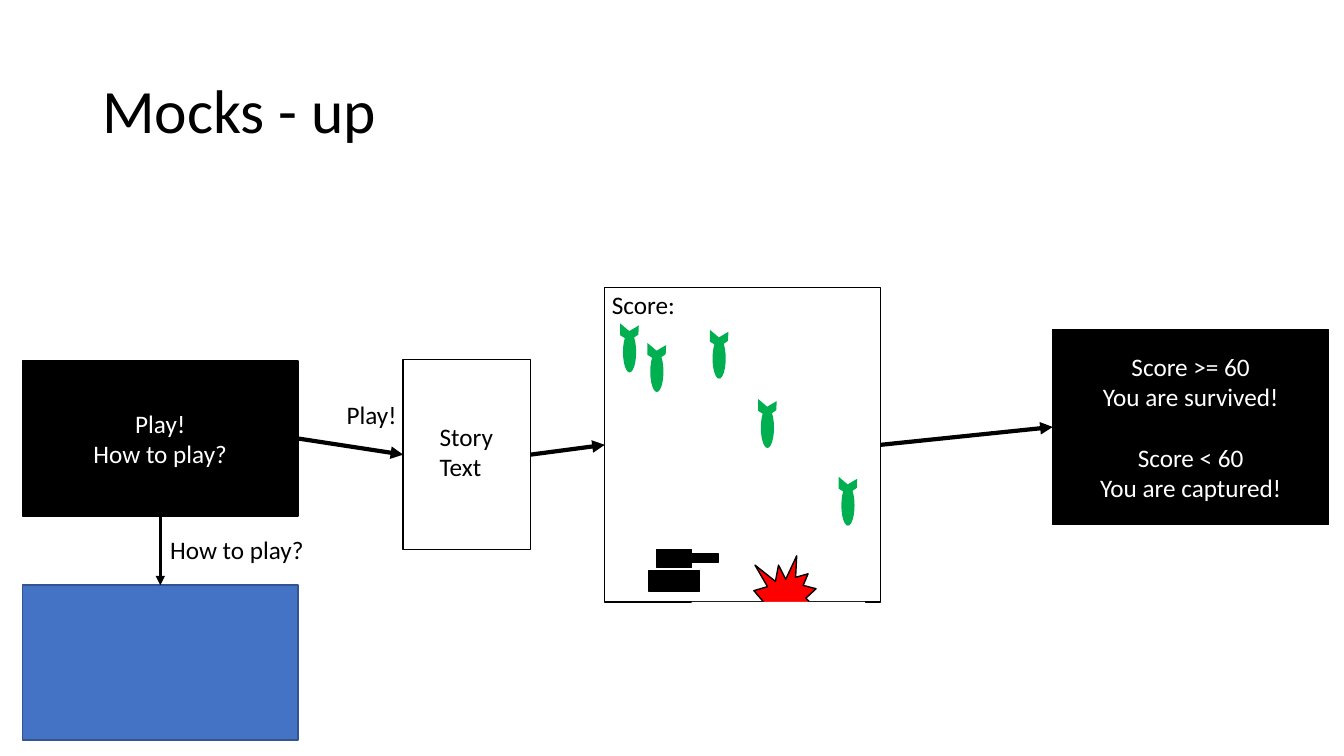
import dataclasses

import pptx
import pptx.dml.color
import pptx.enum.shapes
import pptx.enum.text
import pptx.oxml
import pptx.oxml.ns
import pptx.util

Pt = pptx.util.Pt
SHAPES = pptx.enum.shapes.MSO_SHAPE
ALIGN = pptx.enum.text.PP_ALIGN
ANCHOR = pptx.enum.text.MSO_ANCHOR
TOP, LEFT, BOTTOM, RIGHT = range(4)


@dataclasses.dataclass(frozen=True)
class Theme:
    font: str = "Calibri"
    title_size: float = 44
    body_size: float = 18
    black: str = "000000"
    white: str = "FFFFFF"
    blue: str = "4472C4"
    dark_blue: str = "325491"
    green: str = "00B050"
    red: str = "FF0000"


THEME = Theme()


def rgb(value):
    return pptx.dml.color.RGBColor.from_string(value)


def write_text(shape, text, size=THEME.body_size, color=THEME.black, align=ALIGN.LEFT,
               anchor=ANCHOR.TOP, wrap=True, line_spacing=1.0, gaps=None):
    frame = shape.text_frame
    frame.word_wrap = wrap
    frame.vertical_anchor = anchor
    for index, line in enumerate(text.split("\n")):
        paragraph = frame.paragraphs[0] if index == 0 else frame.add_paragraph()
        paragraph.text = line
        paragraph.alignment = align
        paragraph.line_spacing = line_spacing
        paragraph.space_before = Pt((gaps or {}).get(index, 0))
        for run in paragraph.runs:
            run.font.name = THEME.font
            run.font.size = Pt(size)
            run.font.color.rgb = rgb(color)


class Board:
    def __init__(self, slide, theme):
        self.slide = slide
        self.theme = theme

    def paint(self, shape, fill, line=None):
        shape.shadow.inherit = False
        shape.fill.solid()
        shape.fill.fore_color.rgb = rgb(fill)
        if line:
            shape.line.color.rgb = rgb(line)
            shape.line.width = Pt(1)
        else:
            shape.line.fill.background()
        return shape

    def shape(self, left, top, width, height, fill, line=None, kind=SHAPES.RECTANGLE, parent=None):
        shapes = (parent or self.slide).shapes
        shape = shapes.add_shape(kind, Pt(left), Pt(top), Pt(width), Pt(height))
        return self.paint(shape, fill, line)

    def panel(self, left, top, width, height, text):
        shape = self.shape(left, top, width, height, self.theme.black, self.theme.black)
        write_text(shape, text, color=self.theme.white, align=ALIGN.CENTER,
                   anchor=ANCHOR.MIDDLE, gaps={2: 22})
        return shape

    def label(self, left, top, width, height, text, **text_format):
        box = self.slide.shapes.add_textbox(Pt(left), Pt(top), Pt(width), Pt(height))
        write_text(box, text, **text_format)

    def arrow(self, source, source_side, target, target_side, width=3):
        connector = self.slide.shapes.add_connector(
            pptx.enum.shapes.MSO_CONNECTOR.STRAIGHT, 0, 0, 0, 0)
        connector.begin_connect(source, source_side)
        connector.end_connect(target, target_side)
        connector.line.color.rgb = rgb(self.theme.black)
        connector.line.width = Pt(width)
        namespace = pptx.oxml.ns.nsdecls("a")
        connector.line._get_or_add_ln().append(
            pptx.oxml.parse_xml(f'<a:tailEnd {namespace} type="triangle"/>'))
        connector._element.spPr.append(pptx.oxml.parse_xml(f"<a:effectLst {namespace}/>"))

    def bomb(self, left, top):
        group = self.slide.shapes.add_group_shape()
        self.shape(left + 2, top + 6, 9.4, 29, self.theme.green, kind=SHAPES.OVAL, parent=group)
        fin = [(0, 0), (6.5, 5.5), (13.3, 1.5), (13, 8), (6.5, 12.5), (0, 8.5)]
        corners = [(Pt(left + x), Pt(top + y)) for x, y in fin]
        builder = group.shapes.build_freeform(*corners[0])
        builder.add_line_segments(corners[1:], close=True)
        self.paint(builder.convert_to_shape(), self.theme.green)


presentation = pptx.Presentation()
presentation.slide_width = Pt(960)
presentation.slide_height = Pt(540)
board = Board(presentation.slides.add_slide(presentation.slide_layouts[6]), THEME)

board.label(66, 29, 828, 104, "Mocks - up", size=THEME.title_size,
            anchor=ANCHOR.MIDDLE, line_spacing=0.9)

menu = board.panel(16, 258, 197, 110.5, "Play!\nHow to play?")
game = board.shape(432, 205.5, 197, 224.5, THEME.white, THEME.black)
help_screen = board.shape(16, 418, 197, 110.5, THEME.blue, THEME.dark_blue)
result = board.panel(752, 235.5, 197, 139,
                     "Score >= 60\nYou are survived!\nScore < 60\nYou are captured!")
story = board.shape(288, 257, 91, 135.5, THEME.white, THEME.black)

board.arrow(menu, BOTTOM, help_screen, TOP, width=2.25)
board.arrow(menu, RIGHT, story, LEFT)
board.arrow(story, RIGHT, game, LEFT)
board.arrow(game, RIGHT, result, LEFT)

tank_parts = [(463.5, 407.5, 36, 15), (469, 392.5, 25, 13), (477, 395.5, 36, 6.5)]
for part in tank_parts:
    board.shape(*part, THEME.black, THEME.black)

for position in [(443, 231), (462.5, 245), (507, 235.5), (541.5, 285), (599, 340.5)]:
    board.bomb(*position)

board.shape(538.5, 397, 45.5, 62.5, THEME.red, THEME.black, kind=SHAPES.EXPLOSION1)
board.shape(494, 430, 124, 62.5, THEME.white)

board.label(114.5, 378, 111, 29, "How to play?", wrap=False)
board.label(240.5, 281.5, 67, 29, "Play!")
board.label(430, 203, 60, 29, "Score:", wrap=False)
board.label(307, 297.5, 67, 51, "Story\vText")

presentation.save("out.pptx")
